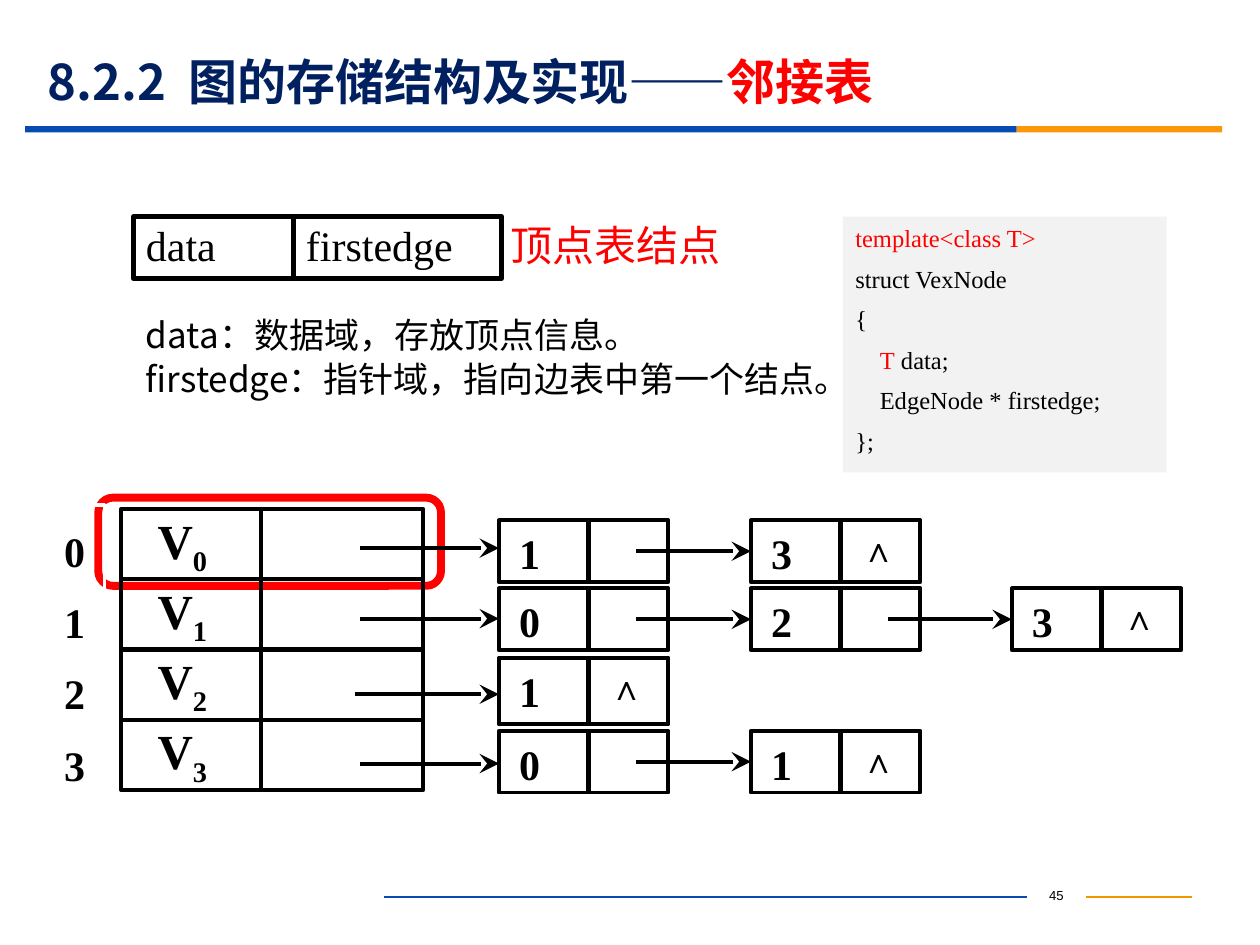
from dataclasses import dataclass

from lxml.etree import SubElement
from pptx import Presentation
from pptx.dml.color import RGBColor
from pptx.enum.shapes import MSO_CONNECTOR as Connector, MSO_SHAPE as Shape
from pptx.enum.text import MSO_ANCHOR as Anchor, MSO_AUTO_SIZE as AutoSize, PP_ALIGN as Align
from pptx.oxml.ns import qn
from pptx.util import Inches, Pt


@dataclass(frozen=True)
class Theme:
    """Colours, fonts and type sizes of the deck."""
    black: str = "000000"
    red: str = "FF0000"
    navy: str = "002060"
    blue: str = "064BB2"
    orange: str = "FB9708"
    amber: str = "F19500"
    panel: str = "F2F2F2"
    white: str = "FFFFFF"
    serif: str = "Times New Roman"
    sans: str = "Noto Sans CJK SC"
    footer: str = "Arial"
    heading: float = 28
    label: float = 24
    body: float = 20
    code: float = 14
    number: float = 7.5
    rule: float = 2.25


class Canvas:
    """Draws styled elements on one slide, placed on a grid of 100 by 75 cells."""

    def __init__(self, deck, theme):
        self.theme = theme
        self.page = deck.slides.add_slide(deck.slide_layouts[5])
        self.column = deck.slide_width / 100
        self.row = deck.slide_height / 75

    def place(self, left, top, width, height):
        """Turn grid cells into lengths."""
        return (round(left * self.column), round(top * self.row),
                round(width * self.column), round(height * self.row))

    def letter(self, box, lines, size, font=None, bold=False, insets=(0.1, 0.05, 0.1, 0.05),
               align=Align.JUSTIFY, anchor=Anchor.TOP, gap=0, spacing=None):
        """Fill a shape with lines, each a list of (text, colour) spans."""
        frame = box.text_frame
        frame.word_wrap = True
        frame.auto_size = AutoSize.NONE
        frame.vertical_anchor = anchor
        (frame.margin_left, frame.margin_top,
         frame.margin_right, frame.margin_bottom) = map(Inches, insets)
        for index, line in enumerate(lines):
            para = frame.add_paragraph() if index else frame.paragraphs[0]
            para.alignment = align
            para.space_before = Pt(gap if index else 0)
            if spacing:
                para.line_spacing = spacing
            for text, colour in line:
                span = para.add_run()
                span.text = text
                span.font.size = Pt(size)
                span.font.bold = bold
                span.font.color.rgb = RGBColor.from_string(colour)
                span.font.name = font or self.theme.serif
                SubElement(span.font._element, qn("a:ea"), typeface=span.font.name)
        return frame

    def title(self, spans, *area):
        """Move and format the title placeholder."""
        box = self.page.shapes.title
        box.left, box.top, box.width, box.height = self.place(*area)
        self.letter(box, [spans], self.theme.heading, self.theme.sans, True,
                    align=Align.LEFT, anchor=Anchor.MIDDLE)

    def text(self, lines, area, size, font, **style):
        """Add a text box."""
        box = self.page.shapes.add_textbox(*self.place(*area))
        return self.letter(box, lines, size, font, **style)

    def shape(self, area, fill=None, line=None, weight=None, kind=Shape.RECTANGLE):
        """Add a preset shape with an optional fill and outline."""
        box = self.page.shapes.add_shape(kind, *self.place(*area))
        box.shadow.inherit = False
        if fill:
            box.fill.solid()
            box.fill.fore_color.rgb = RGBColor.from_string(fill)
        else:
            box.fill.background()
        if line:
            box.line.color.rgb = RGBColor.from_string(line)
            box.line.width = Pt(weight or self.theme.rule)
        else:
            box.line.fill.background()
        return box

    def cell(self, area, text="", size=None, insets=(0.16, 0.06, 0.1, 0.01),
             bold=True, weight=None):
        """Add an outlined cell of a node."""
        theme = self.theme
        box = self.shape(area, line=theme.black, weight=weight)
        if text:
            self.letter(box, [[(text, theme.black)]], size or theme.label,
                        bold=bold, insets=insets)
        return box

    def vertex(self, index, top, height):
        """Add a vertex with its subscript and its pointer cell."""
        theme = self.theme
        box = self.cell((9.6, top, 11.1, height))
        frame = self.letter(box, [[("V", theme.black), (str(index), theme.black)]],
                            theme.heading, bold=True, insets=(0.29, 0.01, 0.1, 0.05))
        frame.paragraphs[0].runs[1].font._element.set("baseline", "-25000")
        self.cell((20.7, top, 12.9, height))

    def line(self, start, end, y, colour, weight, arrow=False):
        """Add a horizontal line or arrow."""
        x, level, width, _ = self.place(start, y, end - start, 0)
        link = self.page.shapes.add_connector(Connector.STRAIGHT, x, level, x + width, level)
        link.line.color.rgb = RGBColor.from_string(colour)
        link.line.width = Pt(weight)
        outline = link._element.spPr
        if arrow:
            SubElement(outline.find(qn("a:ln")), qn("a:tailEnd"),
                       type="stealth", w="lg", len="lg")
        SubElement(outline, qn("a:effectLst"))

    def arrow(self, start, end, y):
        """Add a pointer arrow."""
        self.line(start, end, y, self.theme.black, self.theme.rule, arrow=True)


def draw_frame(canvas, theme):
    """Draw the title, its rule and the footer."""
    canvas.shape((2, 10, 78.7, 0.5), theme.blue)
    canvas.shape((80.7, 10, 16.3, 0.5), theme.orange)
    canvas.line(30.5, 81.5, 71.2, theme.blue, 0.75)
    canvas.line(86.2, 94.6, 71.2, theme.amber, 0.75)
    canvas.text([[("45", theme.black)]], (81.5, 69.9, 4.7, 2.5), theme.number,
                theme.footer, align=Align.CENTER)
    canvas.title([("8.2.2  图的存储结构及实现——", theme.navy), ("邻接表", theme.red)],
                 2.8, 4.3, 90, 4.3)


def draw_definition(canvas, theme):
    """Draw the vertex node, its fields and its code."""
    for name, left, width in (("data", 10.6, 12.7), ("firstedge", 23.3, 16.5)):
        canvas.cell((left, 17.2, width, 4.9), name, bold=False, weight=3,
                    insets=(0.1, 0.02, 0.1, 0.01))
    canvas.text([[("顶点表结点", theme.red)]], (40.3, 17.3, 20.5, 5.8), theme.label,
                theme.sans, insets=(0.02, 0.01, 0.02, 0.01))
    fields = ("data：数据域，存放顶点信息。", "firstedge：指针域，指向边表中第一个结点。")
    canvas.text([[(field, theme.black)] for field in fields], (10.6, 24.4, 59.2, 8.8),
                theme.body, theme.sans, gap=1.3)
    code = [[("template<class T>", theme.red)],
            [("struct VexNode", theme.black)],
            [("{", theme.black)],
            [("    ", theme.black), ("T", theme.red), (" data;", theme.black)],
            [("    EdgeNode * firstedge;", theme.black)],
            [("};", theme.black)]]
    canvas.letter(canvas.shape((66.9, 17.2, 25.7, 20.3), theme.panel), code, theme.code, gap=6.4)


def draw_lists(canvas, theme):
    """Draw the vertex table and the edge list of each vertex."""
    columns = (39.6, 59.6, 80.3)
    rows = ((41.3, 4.9, 28.6, 43.5, "13"), (46.7, 4.9, 28.6, 49.1, "023"),
            (52.2, 5.3, 28.2, 55.1, "1"), (58, 4.9, 28.6, 60.6, "01"))
    canvas.shape((7.8, 39.5, 27.2, 7), line=theme.red, weight=4.5,
                 kind=Shape.FLOWCHART_ALTERNATE_PROCESS)
    for index in range(len(rows)):
        canvas.vertex(index, 40.4 + 5.57 * index, 5.6)
    numbers = [[(str(index), theme.black)] for index in range(len(rows))]
    canvas.letter(canvas.shape((5.1, 40.1, 3.2, 22.2), line=theme.white), numbers,
                  theme.label, bold=True, insets=(0, 0, 0, 0), spacing=1.41)
    for top, height, start, level, edges in rows:
        for left, edge in zip(columns, edges):
            canvas.cell((left, top, 7.1, height), edge)
            last = left == columns[len(edges) - 1]
            canvas.cell((left + 7.15, top, 6.3, height), "∧" if last else "", theme.body)
        canvas.arrow(start, columns[0], level)
        for left, target in zip(columns, columns[1:len(edges)]):
            canvas.arrow(left + 10.9, target, top + height / 2)


def main():
    """Build the deck and save it."""
    deck = Presentation()
    deck.slide_width, deck.slide_height = Inches(10), Inches(7.5)
    theme = Theme()
    canvas = Canvas(deck, theme)
    for draw in (draw_frame, draw_definition, draw_lists):
        draw(canvas, theme)
    deck.save("out.pptx")


if __name__ == "__main__":
    main()
